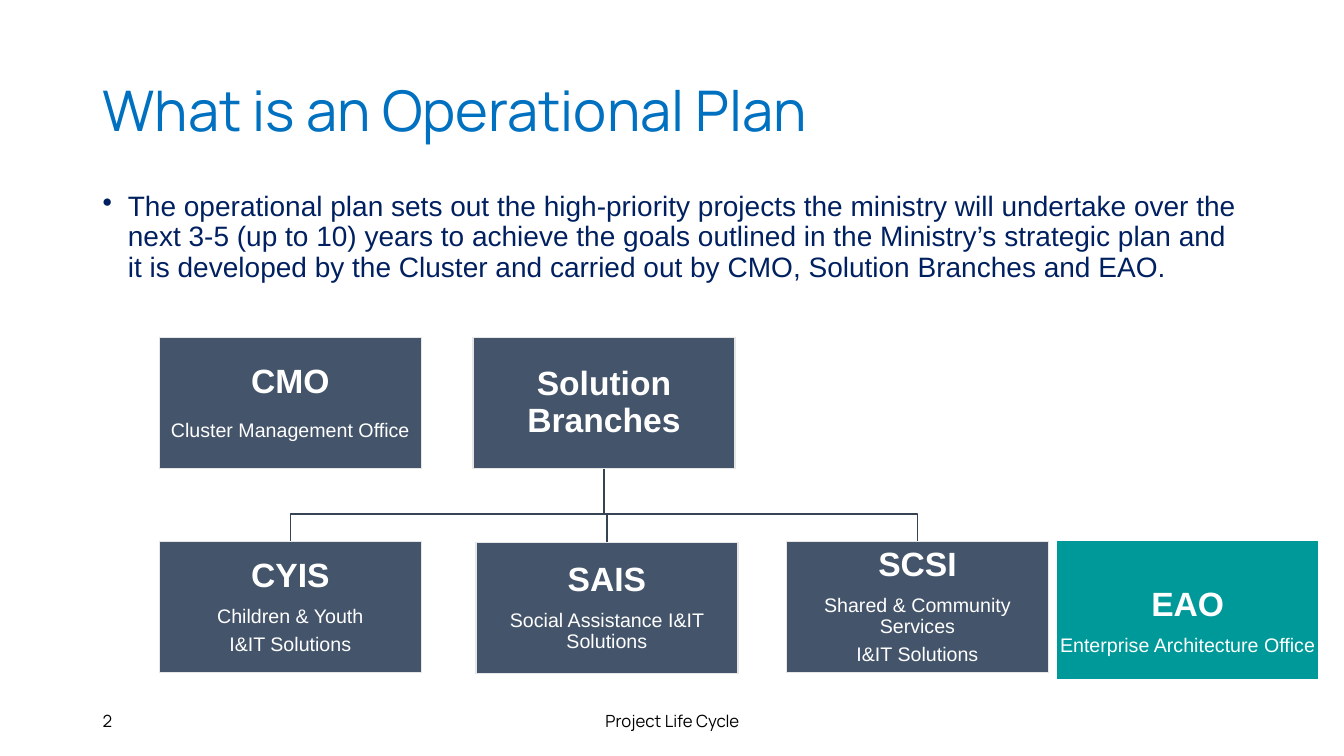
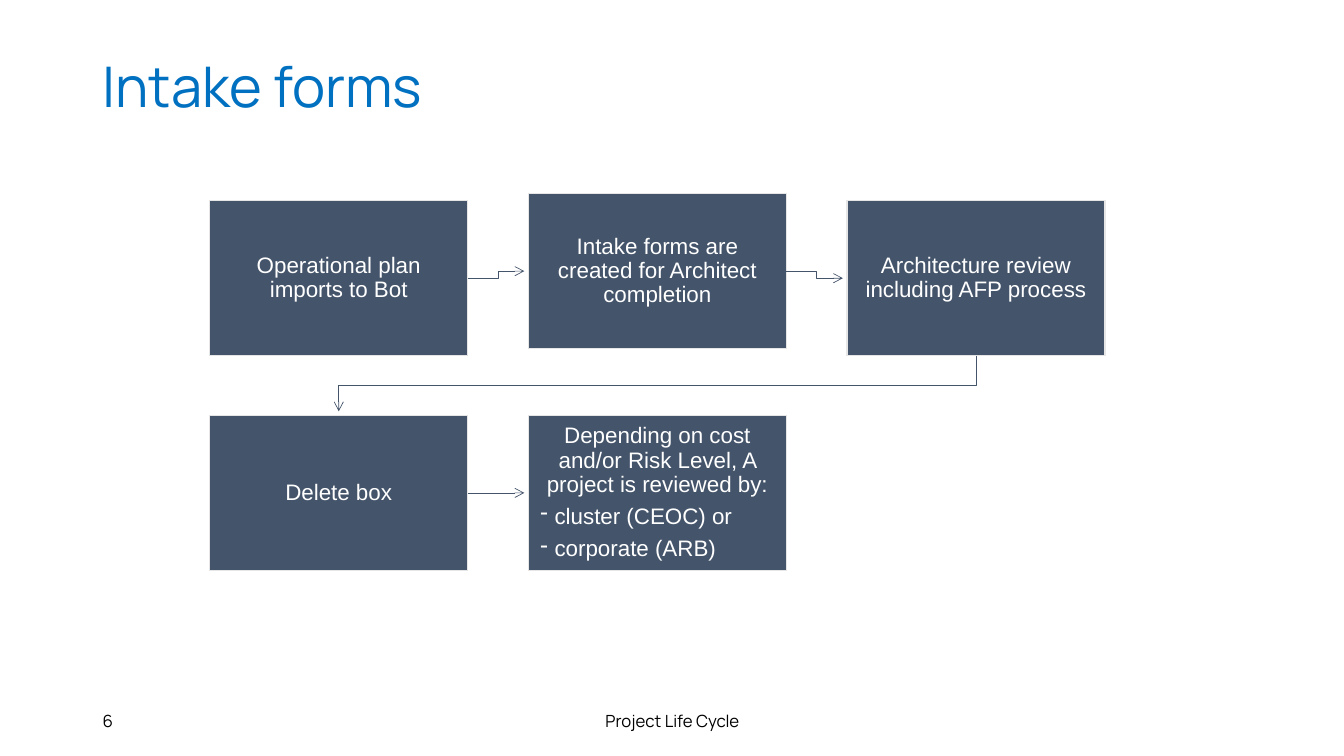
from pptx import Presentation
from pptx.dml.color import RGBColor
from pptx.enum.shapes import MSO_CONNECTOR, MSO_SHAPE
from pptx.enum.text import MSO_ANCHOR, PP_ALIGN
from pptx.oxml.ns import qn
from pptx.util import Pt
from lxml import etree

PX = 9144  # EMU per px, 100 px to the inch
LEFT, CENTER = PP_ALIGN.LEFT, PP_ALIGN.CENTER
TOP, MIDDLE = MSO_ANCHOR.TOP, MSO_ANCHOR.MIDDLE
RECTANGLE, STRAIGHT = MSO_SHAPE.RECTANGLE, MSO_CONNECTOR.STRAIGHT
RIGHT_SIDE = 3

COLORS = {
    "title": "0070C0", "body": "002060", "footer": "000000", "white": "FFFFFF",
    "slate": "44546A", "edge": "E7E6E6", "branch": "364355", "teal": "009999",
}

# Text styles: size and spacing in points, indent in px
STYLES = {
    "title": dict(size=40, font="Manrope", color="title", align=LEFT, line=0.9),
    "body": dict(size=20, color="body", align=LEFT, line=0.9, before=10, bullet="•", indent=25),
    "footer": dict(size=12, font="Manrope", color="footer"),
    "page": dict(size=12, font="Manrope", color="footer", align=LEFT),
    "unit": dict(size=24, bold=True, line=0.9, after=8.4),
    "spaced unit": dict(size=24, bold=True, line=0.9, after=14),
    "detail": dict(size=14, line=0.9, after=4.9),
    "step": dict(size=16, line=0.9, after=5.6),
    "dash": dict(size=16, align=LEFT, line=0.9, after=5.6, bullet="-", indent=14),
}

# Slide content
FOOTER = "Project Life Cycle"
PLAN = {
    "title": "What is an Operational Plan", "title_top": 40, "page": "2",
    "body": "The operational plan sets out the high-priority projects the ministry will "
            "undertake over the next 3-5 (up to 10) years to achieve the goals outlined in "
            "the Ministry’s strategic plan and it is developed by the Cluster and carried "
            "out by CMO, Solution Branches and EAO.",
}
# Each unit: left, top, paragraphs
CMO = (158, 335, [("CMO", "spaced unit"), ("Cluster Management Office", "detail")])
SOLUTIONS = (469, 335, [("Solution Branches", "unit")])
BRANCHES = [
    (158, 537, [("CYIS", "unit"), ("Children & Youth", "detail"), ("I&IT Solutions", "detail")]),
    (472, 538, [("SAIS", "unit"), ("Social Assistance I&IT Solutions", "detail")]),
    (780, 537, [("SCSI", "unit"), ("Shared & Community Services", "detail"),
                ("I&IT Solutions", "detail")]),
]
EAO = (1048, 536, [("EAO", "unit"), ("Enterprise Architecture Office", "detail")])
UNIT_W, UNIT_H, EAO_H, BRANCH_Y = 260, 130, 138, 510

INTAKE = {"title": "Intake forms", "title_top": 16, "page": "6"}
# Each step: column, top, paragraphs
STEPS = [
    (0, 199, [("Operational plan imports to Bot", "step")]),
    (1, 192, [("Intake forms are created for Architect completion", "step")]),
    (2, 199, [("Architecture review including AFP process", "step")]),
    (0, 412, [("Delete box", "step")]),
    (1, 412, [("Depending on cost and/or Risk Level, A project is reviewed by:", "step"),
              ("cluster (CEOC) or", "dash"), ("corporate (ARB)", "dash")]),
]
STEP_LEFT, STEP_PITCH, STEP_W, STEP_H, ARROW_GAP = 208, 316, 256, 154, 4


def rgb(name):
    return RGBColor.from_string(COLORS[name])


def style_paragraph(paragraph, size, font="Arial", color="white", align=CENTER, bold=False,
                    line=None, before=0, after=0, bullet=None, indent=0):
    paragraph.alignment = align
    paragraph.line_spacing = line
    paragraph.space_before, paragraph.space_after = Pt(before), Pt(after)
    for run in paragraph.runs:
        run.font.size, run.font.name, run.font.bold = Pt(size), font, bold
        run.font.color.rgb = rgb(color)
    if bullet:
        props = paragraph._p.get_or_add_pPr()
        props.set("marL", str(indent * PX))
        props.set("indent", str(-indent * PX))
        etree.SubElement(props, qn("a:buChar")).set("char", bullet)


def write(frame, paragraphs, anchor=MIDDLE, insets=(10, 5, 10, 5)):
    """Fill a text frame with (text, style) pairs; insets run left, top, right, bottom."""
    frame.word_wrap = True
    frame.vertical_anchor = anchor
    (frame.margin_left, frame.margin_top,
     frame.margin_right, frame.margin_bottom) = [inset * PX for inset in insets]
    frame.text = "\n".join(text for text, _ in paragraphs)
    for paragraph, (_, style) in zip(frame.paragraphs, paragraphs):
        style_paragraph(paragraph, **STYLES[style])


def add_label(slide, area, text, style, anchor=MIDDLE):
    label = slide.shapes.add_textbox(*[side * PX for side in area])
    write(label.text_frame, [(text, style)], anchor)


def add_box(slide, area, paragraphs, insets, fill="slate", edge="edge"):
    box = slide.shapes.add_shape(RECTANGLE, *[side * PX for side in area])
    box.shadow.inherit = False
    box.fill.solid()
    box.fill.fore_color.rgb = rgb(fill)
    box.line.color.rgb = rgb(edge)
    box.line.width = Pt(1)
    write(box.text_frame, paragraphs, insets=insets)
    return box


def style_line(link, color, width, arrow):
    link.line.color.rgb = rgb(color)
    link.line.width = Pt(width)
    if arrow:
        outline = link.element.spPr.find(qn("a:ln"))
        etree.SubElement(outline, qn("a:tailEnd")).set("type", "arrow")


def add_route(slide, points, color, width, arrow=False):
    """Draw an open line with right-angled bends through the points."""
    builder = slide.shapes.build_freeform(*points[0], scale=PX)
    builder.add_line_segments(points[1:], close=False)
    route = builder.convert_to_shape()
    route.shadow.inherit = False
    route.fill.background()
    style_line(route, color, width, arrow)


def add_slide(deck, content):
    """Start a slide with the shared title, footer and page number."""
    slide = deck.slides.add_slide(deck.slide_layouts[6])
    add_label(slide, (92, content["title_top"], 1150, 145), content["title"], "title")
    add_label(slide, (442, 695, 450, 40), FOOTER, "footer")
    add_label(slide, (92, 695, 300, 40), content["page"], "page")
    return slide


def build_plan(deck):
    slide = add_slide(deck, PLAN)
    add_label(slide, (92, 186, 1150, 490), PLAN["body"], "body", TOP)

    # Branch lines
    trunk_x, trunk_y = SOLUTIONS[0] + UNIT_W // 2, SOLUTIONS[1] + UNIT_H
    for left, top, _ in BRANCHES:
        x = left + UNIT_W // 2
        add_route(slide, [(trunk_x, trunk_y), (trunk_x, BRANCH_Y), (x, BRANCH_Y), (x, top)],
                  "branch", 1)

    # Organisation units
    for left, top, paragraphs in [CMO, SOLUTIONS, *BRANCHES]:
        add_box(slide, (left, top, UNIT_W, UNIT_H), paragraphs, (2, 2, 2, 2))
    left, top, paragraphs = EAO
    add_box(slide, (left, top, UNIT_W, EAO_H), paragraphs, (2, 26, 2, 2), "teal", "white")


def build_intake(deck):
    slide = add_slide(deck, INTAKE)

    # Process steps
    places, boxes = [], []
    for column, top, paragraphs in STEPS:
        left = STEP_LEFT + column * STEP_PITCH
        places.append((left, top))
        boxes.append(add_box(slide, (left, top, STEP_W, STEP_H), paragraphs, (12,) * 4))

    # Arrows from each step to the next
    for box, (left, top), (next_left, next_top) in zip(boxes, places, places[1:]):
        right, y, next_y = left + STEP_W, top + STEP_H // 2, next_top + STEP_H // 2
        tip_x = next_left - ARROW_GAP
        if next_left < left:
            x, next_x = left + STEP_W // 2, next_left + STEP_W // 2
            bottom = top + STEP_H
            turn_y = (bottom + next_top) // 2
            add_route(slide, [(x, bottom), (x, turn_y), (next_x, turn_y),
                              (next_x, next_top - ARROW_GAP)], "slate", 0.5, True)
        elif y != next_y:
            turn_x = (right + next_left) // 2
            add_route(slide, [(right, y), (turn_x, y), (turn_x, next_y), (tip_x, next_y)],
                      "slate", 0.5, True)
        else:
            arrow = slide.shapes.add_connector(STRAIGHT, right * PX, y * PX, tip_x * PX, y * PX)
            arrow.begin_connect(box, RIGHT_SIDE)
            style_line(arrow, "slate", 0.5, True)
            etree.SubElement(arrow.element.spPr, qn("a:effectLst"))


def main():
    deck = Presentation()
    deck.slide_width, deck.slide_height = 1333 * PX, 750 * PX
    build_plan(deck)
    build_intake(deck)
    deck.save("out.pptx")


if __name__ == "__main__":
    main()
